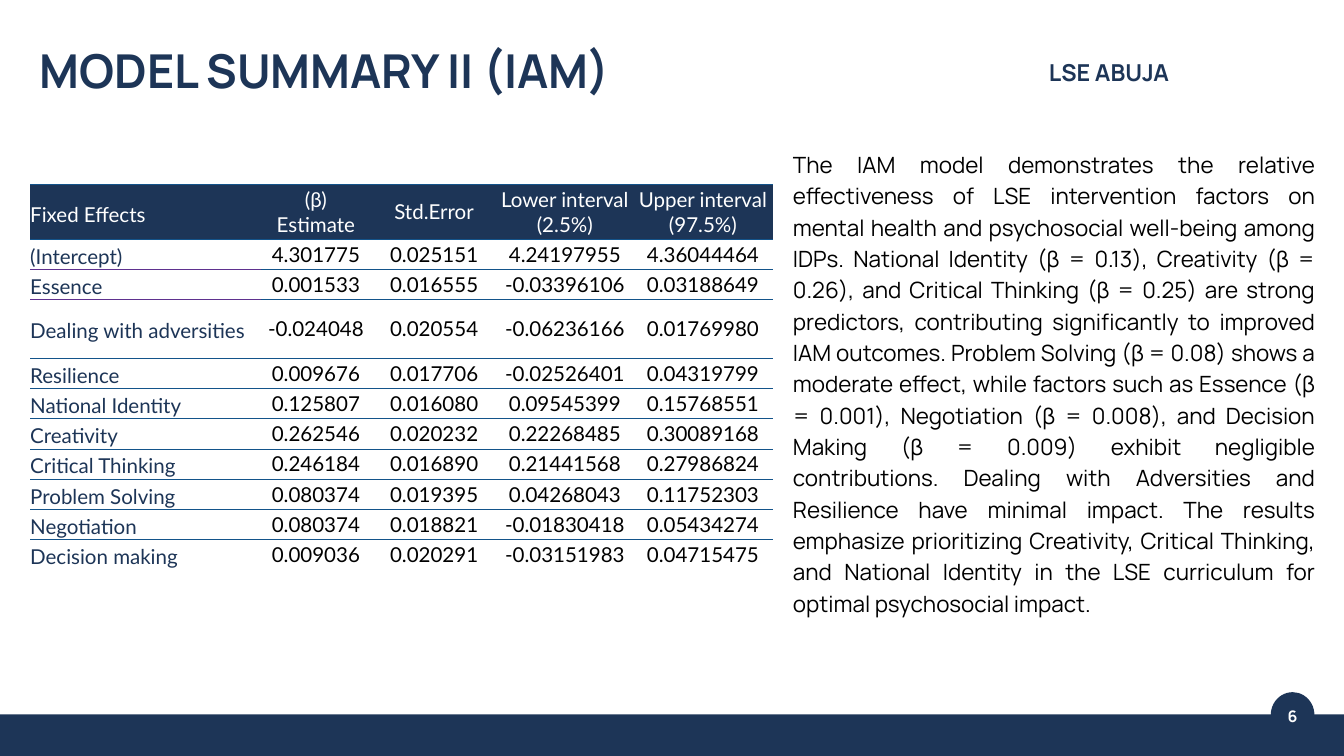
"""Build the slide that sums up the IAM model: a table of effects and a comment."""
import pptx
import pptx.util
import pptx.dml.color
import pptx.enum.shapes
import pptx.enum.text
import pptx.oxml

Inches, Pt = pptx.util.Inches, pptx.util.Pt
ALIGN = pptx.enum.text.PP_ALIGN
MIDDLE = pptx.enum.text.MSO_ANCHOR.MIDDLE
SHAPE = pptx.enum.shapes.MSO_SHAPE
NAVY, WHITE, BLACK, BLUE, PURPLE = "1D3557", "FFFFFF", "000000", "13538A", "5F318F"
NS = 'xmlns:a="http://schemas.openxmlformats.org/drawingml/2006/main"'


def rgb(code):
    return pptx.dml.color.RGBColor.from_string(code)


def write(frame, text, font, size, color, lead, align=ALIGN.LEFT, bold=False):
    frame.text = text
    for para in frame.paragraphs:
        para.alignment = align
        para.line_spacing = Pt(lead)
        for run in para.runs:
            run.font.name = font
            run.font.size = Pt(size)
            run.font.bold = bold
            run.font.color.rgb = rgb(color)


prs = pptx.Presentation()
prs.slide_width, prs.slide_height = Inches(20), Inches(11.25)
slide = prs.slides.add_slide(prs.slide_layouts[6])
shapes = slide.shapes

band = shapes.add_shape(SHAPE.RECTANGLE, Inches(0), Inches(10.63), Inches(20), Inches(0.62))
badge = shapes.add_shape(SHAPE.OVAL, Inches(18.91), Inches(10.3), Inches(0.65), Inches(0.68))
for shape in (band, badge):
    shape.shadow.inherit = False
    shape.fill.solid()
    shape.fill.fore_color.rgb = rgb(NAVY)
    shape.line.fill.background()
frame = badge.text_frame
frame.margin_left = frame.margin_right = frame.margin_top = frame.margin_bottom = 0
frame.vertical_anchor = MIDDLE
write(frame, "6", "Manrope", 17, WHITE, 23.8, ALIGN.CENTER, True)

rows = [
    ("Fixed Effects", "(β)\nEstimate", "Std.Error", "Lower interval\n(2.5%)", "Upper interval\n(97.5%)"),
    ("(Intercept)", "4.301775", "0.025151", "4.24197955", "4.36044464"),
    ("Essence", "0.001533", "0.016555", "-0.03396106", "0.03188649"),
    ("Dealing with adversities", "-0.024048", "0.020554", "-0.06236166", "0.01769980"),
    ("Resilience", "0.009676", "0.017706", "-0.02526401", "0.04319799"),
    ("National Identity", "0.125807", "0.016080", "0.09545399", "0.15768551"),
    ("Creativity", "0.262546", "0.020232", "0.22268485", "0.30089168"),
    ("Critical Thinking", "0.246184", "0.016890", "0.21441568", "0.27986824"),
    ("Problem Solving", "0.080374", "0.019395", "0.04268043", "0.11752303"),
    ("Negotiation", "0.080374", "0.018821", "-0.01830418", "0.05434274"),
    ("Decision making", "0.009036", "0.020291", "-0.03151983", "0.04715475"),
]
widths = [3.43, 1.64, 1.88, 2.01, 2.1]
heights = [0.81, 0.45, 0.45, 0.87] + [0.45] * 7
table = shapes.add_table(len(rows), len(widths), Inches(0.45), Inches(2.75),
                         Inches(sum(widths)), Inches(sum(heights))).table
table.horz_banding = False
for col, width in zip(table.columns, widths):
    col.width = Inches(width)
for row, height in zip(table.rows, heights):
    row.height = Inches(height)

for r, row in enumerate(rows):
    for c, text in enumerate(row):
        cell = table.cell(r, c)
        cell.margin_left = cell.margin_right = cell.margin_top = cell.margin_bottom = 0
        cell.vertical_anchor = MIDDLE
        props = cell._tc.get_or_add_tcPr()
        for side, edge in (("L", None), ("R", None), ("T", r), ("B", r + 1)):
            paint = "<a:noFill/>"
            if edge is not None and edge < len(rows):
                color = PURPLE if c == 0 and edge in (2, 3) else BLUE
                paint = f'<a:solidFill><a:srgbClr val="{color}"/></a:solidFill>'
            props.append(pptx.oxml.parse_xml(f'<a:ln{side} {NS} w="{Pt(0.75)}">{paint}</a:ln{side}>'))
        cell.fill.solid()
        cell.fill.fore_color.rgb = rgb(WHITE if r else NAVY)
        color = WHITE if r == 0 else BLACK if c else NAVY
        write(cell.text_frame, text, "Lato", 22, color, 26.4 if c else 30.8,
              ALIGN.CENTER if c else ALIGN.LEFT)

comment = (
    "The IAM model demonstrates the relative effectiveness of LSE intervention factors on mental "
    "health and psychosocial well-being among IDPs. National Identity (β = 0.13), Creativity "
    "(β = 0.26), and Critical Thinking (β = 0.25) are strong predictors, contributing significantly "
    "to improved IAM outcomes. Problem Solving (β = 0.08) shows a moderate effect, while factors "
    "such as Essence (β = 0.001), Negotiation (β = 0.008), and Decision Making (β = 0.009) exhibit "
    "negligible contributions. Dealing with Adversities and Resilience have minimal impact. The "
    "results emphasize prioritizing Creativity, Critical Thinking, and National Identity in the LSE "
    "curriculum for optimal psychosocial impact."
)
for box, text, size, color, lead, align, bold in (
    ((11.8, 2.18, 7.77, 7.34), comment, 24, BLACK, 33.6, ALIGN.JUSTIFY, False),
    ((0.59, 0.75, 9.12, 0.78), "MODEL SUMMARY II (IAM)", 50, NAVY, 50.5, ALIGN.LEFT, True),
    ((15.61, 0.79, 4, 0.48), "LSE ABUJA", 25, NAVY, 35, ALIGN.LEFT, True),
):
    frame = shapes.add_textbox(*map(Inches, box)).text_frame
    frame.word_wrap = True
    frame.margin_left = frame.margin_right = frame.margin_top = frame.margin_bottom = 0
    write(frame, text, "Manrope", size, color, lead, align, bold)

prs.save("out.pptx")
